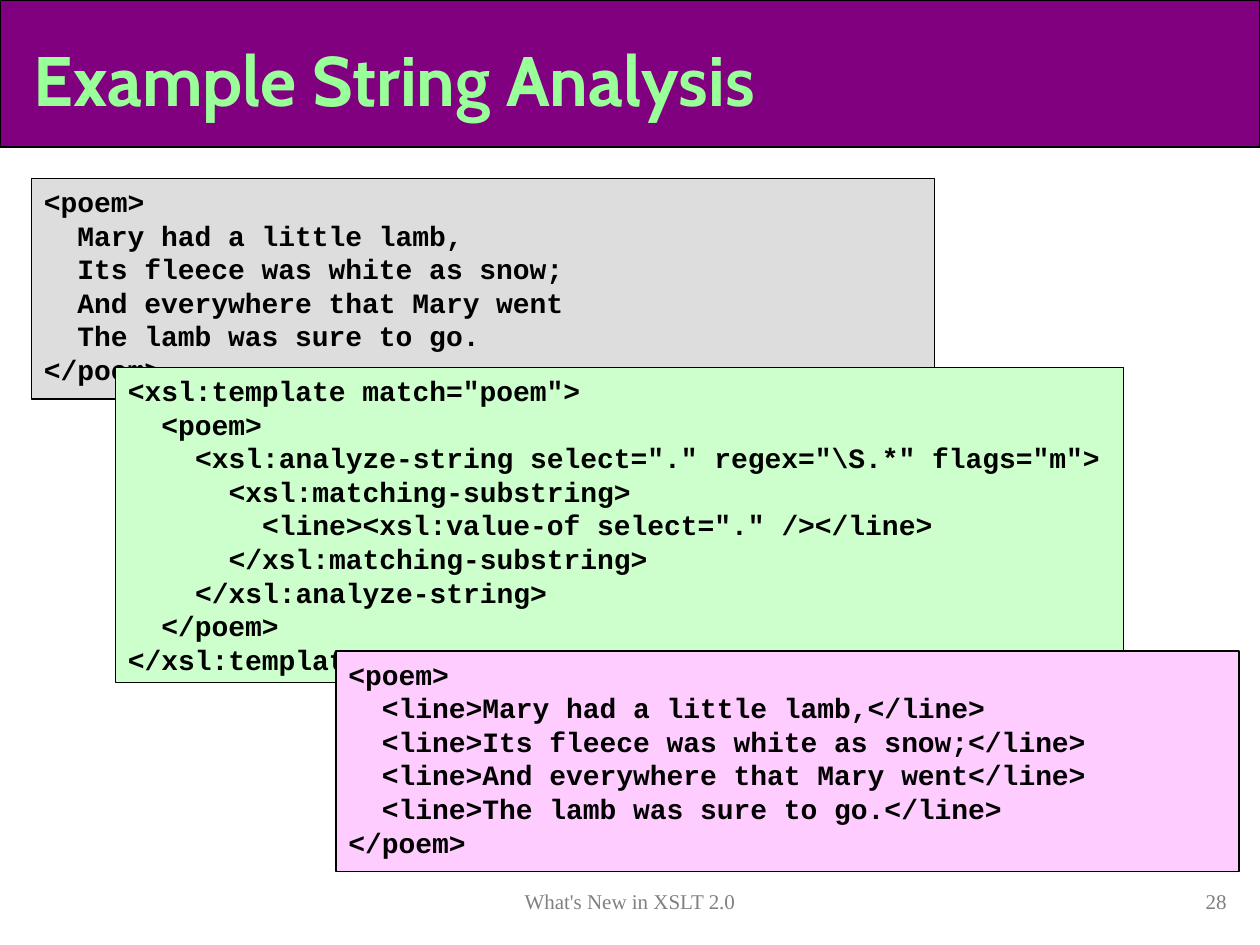
import pptx
import pptx.dml.color
import pptx.enum.shapes
import pptx.enum.text
import pptx.util

UNIT = pptx.util.Inches(1) // 12
COLUMNS, ROWS = 120, 90
CODE_SIZE = 16
INDENT_PER_SPACE = CODE_SIZE * 0.6
ALIGN = pptx.enum.text.PP_ALIGN

POEM = """\
<poem>
  Mary had a little lamb,
  Its fleece was white as snow;
  And everywhere that Mary went
  The lamb was sure to go.
</poem>"""

TEMPLATE = r"""<xsl:template match="poem">
  <poem>
    <xsl:analyze-string select="." regex="\S.*" flags="m">
      <xsl:matching-substring>
        <line><xsl:value-of select="." /></line>
      </xsl:matching-substring>
    </xsl:analyze-string>
  </poem>
</xsl:template>"""

RESULT = """\
<poem>
  <line>Mary had a little lamb,</line>
  <line>Its fleece was white as snow;</line>
  <line>And everywhere that Mary went</line>
  <line>The lamb was sure to go.</line>
</poem>"""


def color(value):
    """Turn a hex string into a colour."""
    return pptx.dml.color.RGBColor.from_string(value)


def place(column, row, width, height):
    """Turn grid cells into left, top, width and height."""
    return [cells * UNIT for cells in (column, row, width, height)]


def style(para, name, size, value, bold=False, align=ALIGN.LEFT):
    """Set the font and alignment of a paragraph."""
    para.font.name = name
    para.font.size = pptx.util.Pt(size)
    para.font.color.rgb = color(value)
    para.font.bold = bold
    para.alignment = align


def add_panel(page, cells, fill):
    """Add a filled rectangle with a thin black outline."""
    panel = page.shapes.add_shape(
        pptx.enum.shapes.MSO_SHAPE.RECTANGLE, *place(*cells))
    panel.shadow.inherit = False
    panel.fill.solid()
    panel.fill.fore_color.rgb = color(fill)
    panel.line.color.rgb = color("000000")
    panel.line.width = pptx.util.Pt(0.75)
    return panel


def add_label(page, cells, text, **font):
    """Add a one-line text box."""
    frame = page.shapes.add_textbox(*place(*cells)).text_frame
    frame.word_wrap = True
    frame.text = text
    style(frame.paragraphs[0], **font)
    return frame


def add_code(page, cells, fill, code):
    """Add a panel of code, with leading spaces turned into indents."""
    frame = add_panel(page, cells, fill).text_frame
    frame.word_wrap = True
    frame.vertical_anchor = pptx.enum.text.MSO_ANCHOR.TOP
    lines = code.splitlines()
    frame.text = "\n".join(line.lstrip() for line in lines)
    for para, line in zip(frame.paragraphs, lines):
        style(para, "Courier New", CODE_SIZE, "000000", bold=True)
        spaces = len(line) - len(line.lstrip())
        margin = pptx.util.Pt(spaces * INDENT_PER_SPACE)
        para._p.get_or_add_pPr().set("marL", str(margin))


def main():
    """Build the slide and save it."""
    deck = pptx.Presentation()
    deck.slide_width, deck.slide_height = COLUMNS * UNIT, ROWS * UNIT
    page = deck.slides.add_slide(deck.slide_layouts[6])

    add_panel(page, (0, 0, COLUMNS, 14), "800080")
    title = add_label(page, (2, 2, 115, 11), "Example String Analysis",
                      name="Cabin", size=40, value="99FF99", bold=True)
    title.vertical_anchor = pptx.enum.text.MSO_ANCHOR.MIDDLE

    add_code(page, (3, 17, 86, 21), "DDDDDD", POEM)
    add_code(page, (11, 35, 96, 30), "CCFFCC", TEMPLATE)
    add_code(page, (32, 62, 86, 21), "FFCCFF", RESULT)

    footer = {"name": "Times New Roman", "size": 12, "value": "808080"}
    add_label(page, (29, 84, 62, 4), "What's New in XSLT 2.0",
              align=ALIGN.CENTER, **footer)
    add_label(page, (93, 84, 25, 4), "28", align=ALIGN.RIGHT, **footer)
    deck.save("out.pptx")


if __name__ == "__main__":
    main()
